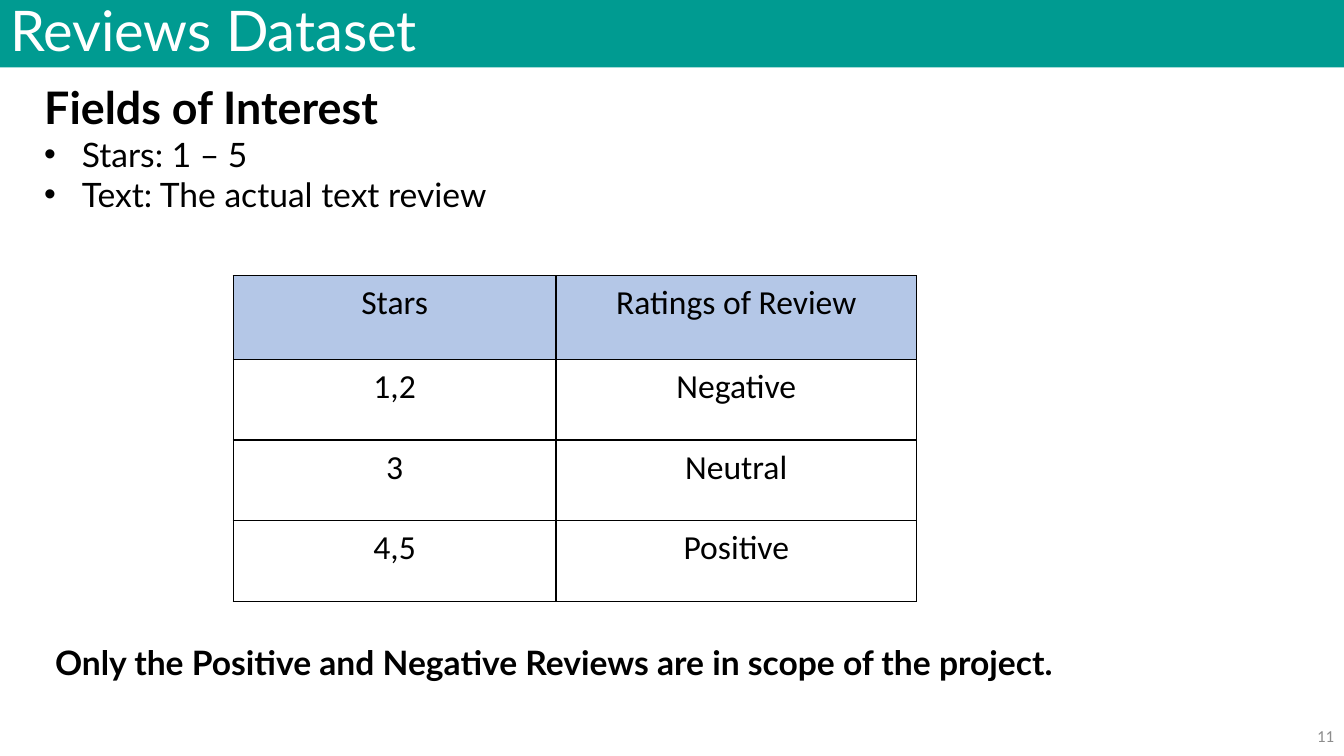
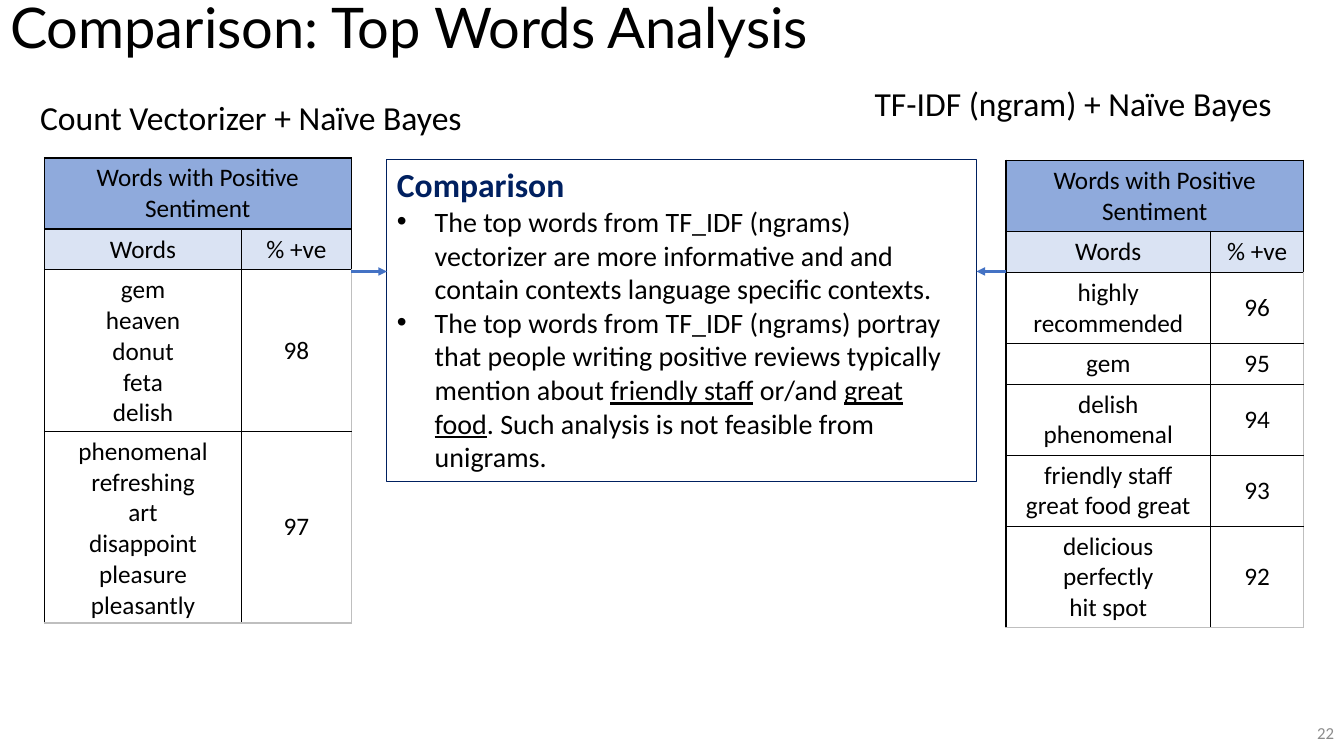
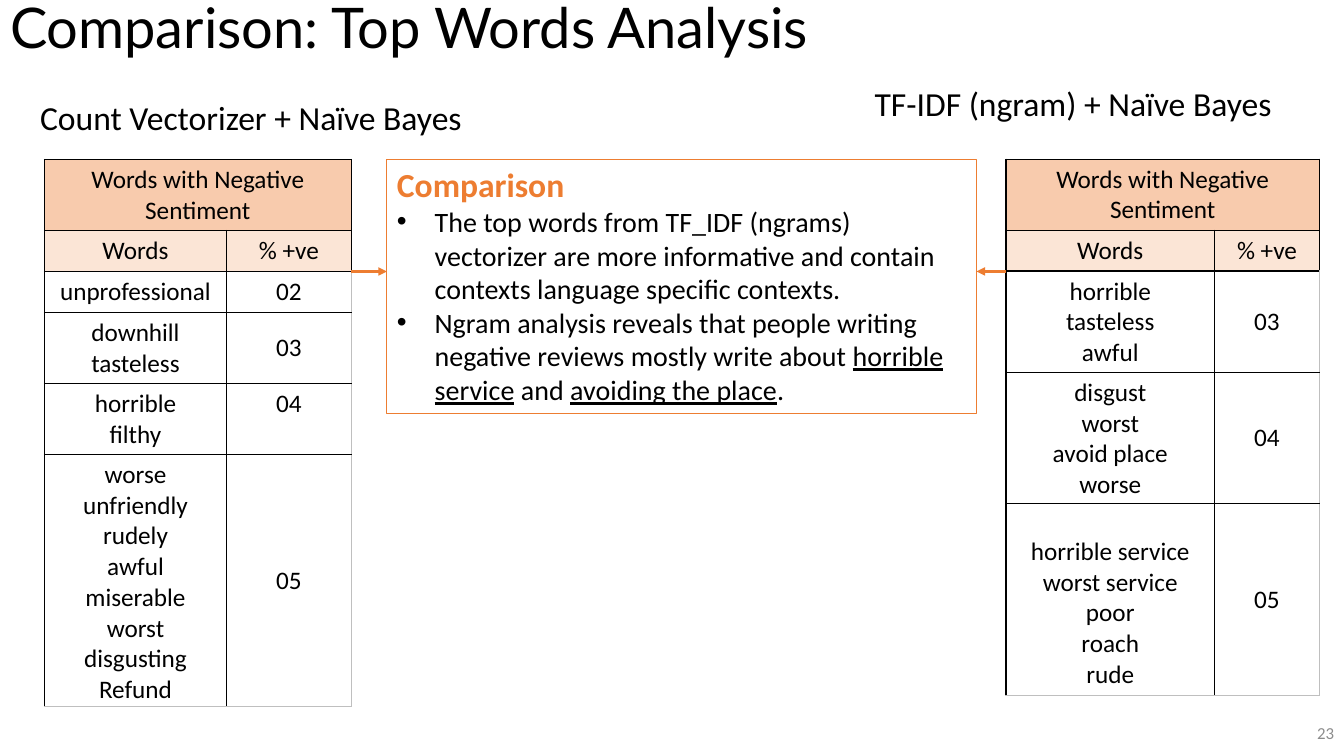
from dataclasses import dataclass

import pptx
import pptx.util
import pptx.dml.color
import pptx.enum.shapes
import pptx.enum.text
import pptx.oxml
import pptx.oxml.ns

Cm, Pt = pptx.util.Cm, pptx.util.Pt
ALIGN = pptx.enum.text.PP_ALIGN
ANCHOR = pptx.enum.text.MSO_ANCHOR
AUTO_SIZE = pptx.enum.text.MSO_AUTO_SIZE

COLORS = {
    "black": "000000", "white": "FFFFFF", "teal": "009B91", "number": "8C8C8C",
    "edge": "BFBFBF", "stars_head": "B4C7E7",
}
POSITIVE = {"head": "8FAADC", "subhead": "DAE3F3", "accent": "002060", "arrow": "4472C4"}
NEGATIVE = {"head": "F8CBAD", "subhead": "FBE5D6", "accent": "ED7D31", "arrow": "ED7D31"}

SLIDE_W, SLIDE_H = 33.87, 19.05
LINE_H, CELL_PAD = 0.76, 0.27  # one 18 pt line, and the padding of a cell


@dataclass
class WordRow:
    words: list
    share: str
    lines: int = 0  # set when text wraps or the row is taller than its words
    anchor: object = ANCHOR.MIDDLE

    def height(self):
        return (self.lines or len(self.words)) * LINE_H + CELL_PAD


# ---- Shared helpers ----
def rgb(color):
    return pptx.dml.color.RGBColor.from_string(color)


def place(shape, box):
    shape.left, shape.top, shape.width, shape.height = (Cm(v) for v in box)


def add_xml(parent, xml):
    declaration = pptx.oxml.ns.nsdecls("a")
    parent.append(pptx.oxml.parse_xml(xml.replace(" ", f" {declaration} ", 1)))


def add_run(paragraph, text, size, font="Calibri", color=COLORS["black"],
            bold=False, underline=False):
    run = paragraph.add_run()
    run.text = text
    run.font.size, run.font.name = Pt(size), font
    run.font.bold, run.font.underline = bold, underline
    run.font.color.rgb = rgb(color)


def add_text(slide, box, text, size, align=ALIGN.LEFT, anchor=ANCHOR.TOP, **style):
    frame_box = slide.shapes.add_textbox(*(Cm(v) for v in box))
    frame = frame_box.text_frame
    frame.word_wrap, frame.vertical_anchor = True, anchor
    frame.paragraphs[0].alignment = align
    add_run(frame.paragraphs[0], text, size, **style)


def add_slide(deck, title, number, title_box, number_top, band=None):
    slide = deck.slides.add_slide(deck.slide_layouts[1])
    heading = slide.shapes.title
    place(heading, title_box)
    frame = heading.text_frame
    frame.auto_size, frame.vertical_anchor = AUTO_SIZE.NONE, ANCHOR.MIDDLE
    paragraph = frame.paragraphs[0]
    paragraph.alignment, paragraph.line_spacing = ALIGN.LEFT, 0.9
    if band:
        heading.fill.solid()
        heading.fill.fore_color.rgb = rgb(band)
    add_run(paragraph, title, 40, "Lato", COLORS["white" if band else "black"])
    add_text(slide, (SLIDE_W - 7.62, number_top, 7.62, 1.02), number, 12,
             ALIGN.RIGHT, ANCHOR.MIDDLE, color=COLORS["number"])
    return slide


def fill_list(slide, box, heading, heading_size, points, size, font, color):
    """A bold heading and bullets; every second run of a point is underlined."""
    body = slide.placeholders[1]
    place(body, box)
    frame = body.text_frame
    frame.word_wrap, frame.auto_size = True, AUTO_SIZE.NONE
    frame.vertical_anchor = ANCHOR.TOP
    for index, runs in enumerate([[heading]] + points):
        paragraph = frame.paragraphs[0] if index == 0 else frame.add_paragraph()
        paragraph.alignment, paragraph.line_spacing = ALIGN.LEFT, 1.0
        paragraph.space_before = paragraph.space_after = Pt(0)
        properties = paragraph._p.get_or_add_pPr()
        indent = Cm(0.95) if index else 0
        properties.set("marL", str(indent))
        properties.set("indent", str(-indent))
        if index == 0:
            add_xml(properties, "<a:buNone />")
            add_run(paragraph, heading, heading_size, font, color, bold=True)
            continue
        add_xml(properties, '<a:buFont typeface="Arial"/>')
        add_xml(properties, '<a:buChar char="•"/>')
        for position, text in enumerate(runs):
            add_run(paragraph, text, size, font, underline=position % 2 == 1)
    return body


# ---- Tables ----
def make_table(slide, left, top, widths, heights):
    table = slide.shapes.add_table(
        len(heights), len(widths), Cm(left), Cm(top),
        Cm(sum(widths)), Cm(sum(heights))).table
    table.first_row = table.horz_banding = False
    for column, width in zip(table.columns, widths):
        column.width = Cm(width)
    for row, height in zip(table.rows, heights):
        row.height = Cm(height)
    return table


def style_cell(cell, lines, size, fill=COLORS["white"], anchor=ANCHOR.TOP, pale=""):
    """Centre the lines; sides named in pale get the light edge colour."""
    cell.vertical_anchor = anchor
    properties = cell._tc.get_or_add_tcPr()
    for side in "LRTB":
        color = COLORS["edge" if side in pale else "black"]
        add_xml(properties, f'<a:ln{side} w="12700"><a:solidFill>'
                            f'<a:srgbClr val="{color}"/></a:solidFill></a:ln{side}>')
    cell.fill.solid()
    cell.fill.fore_color.rgb = rgb(fill)
    for index, text in enumerate(lines):
        frame = cell.text_frame
        paragraph = frame.paragraphs[0] if index == 0 else frame.add_paragraph()
        paragraph.alignment = ALIGN.CENTER
        add_run(paragraph, text, size)


def add_ratings_table(slide, left, top):
    rows = [("Stars", "Ratings of Review"), ("1,2", "Negative"),
            ("3", "Neutral"), ("4,5", "Positive")]
    table = make_table(slide, left, top, (8.13, 9.09), [2.11] + [2.03] * 3)
    for r, row in enumerate(rows):
        for c, text in enumerate(row):
            cell = table.cell(r, c)
            cell.margin_left = cell.margin_right = Cm(0.18)
            cell.margin_top = cell.margin_bottom = Cm(0.18)
            style_cell(cell, [text], 24, COLORS["white" if r else "stars_head"])


def add_words_table(slide, left, top, widths, heading, rows, theme):
    heights = [2 * LINE_H + CELL_PAD, LINE_H + CELL_PAD] + [r.height() for r in rows]
    table = make_table(slide, left, top, widths, heights)
    table.cell(0, 0).merge(table.cell(0, 1))
    style_cell(table.cell(0, 0), [heading], 18, theme["head"])
    style_cell(table.cell(0, 1), [], 18, theme["head"])
    for c, text in enumerate(("Words", "% +ve")):
        style_cell(table.cell(1, c), [text], 18, theme["subhead"])
    for r, row in enumerate(rows, start=2):
        bottom = "B" if r == len(rows) + 1 else ""
        style_cell(table.cell(r, 0), row.words, 18, anchor=ANCHOR.BOTTOM, pale=bottom)
        style_cell(table.cell(r, 1), [row.share], 18, anchor=row.anchor,
                   pale="R" + bottom)


# ---- Comparison slides ----
def add_arrow(slide, start, end, y, color):
    arrow = slide.shapes.add_connector(
        pptx.enum.shapes.MSO_CONNECTOR.STRAIGHT, Cm(start), Cm(y), Cm(end), Cm(y))
    arrow.line.color.rgb = rgb(color)
    arrow.line.width = Pt(2)
    add_xml(arrow.line._get_or_add_ln(), '<a:tailEnd type="triangle"/>')
    add_xml(arrow._element.spPr, "<a:effectLst />")


def add_comparison_slide(deck, number, theme, heading, box_height, points, left, right):
    """left and right are (top, column widths, rows) of the word tables."""
    slide = add_slide(deck, "Comparison: Top Words Analysis", number,
                      (0, 0, 31.8, 1.55), 17.96)
    box_left, box_top, box_width = 9.75, 4.01, 14.86
    left_edge, right_edge = 1.12, 25.35
    box = fill_list(slide, (box_left, box_top, box_width, box_height),
                    "Comparison", 24, points, 20, "Calibri", theme["accent"])
    box.fill.solid()
    box.fill.fore_color.rgb = rgb(COLORS["white"])
    box.line.color.rgb = rgb(theme["accent"])
    box.line.width = Pt(0.75)

    add_text(slide, (0.76, 2.31, 11.38, 1.27), "Count Vectorizer + Naïve Bayes", 24)
    add_text(slide, (21.79, 1.97, 11.38, 1.27), "TF-IDF (ngram) + Naïve Bayes", 24)
    for edge, (top, widths, rows) in ((left_edge, left), (right_edge, right)):
        add_words_table(slide, edge, top, widths, heading, rows, theme)

    arrow_y = box_top + 2.83
    add_arrow(slide, left_edge + sum(left[1]), box_left, arrow_y, theme["arrow"])
    add_arrow(slide, right_edge, box_left + box_width, arrow_y, theme["arrow"])


# ---- Reviews dataset slide ----
def add_dataset_slide(deck):
    slide = add_slide(deck, "Reviews Dataset", "11", (0, 0, SLIDE_W, 1.7), 18.03,
                      COLORS["teal"])
    fill_list(slide, (0.86, 1.88, 30.35, 3.68), "Fields of Interest", 32,
              [["Stars: 1 – 5"], ["Text: The actual text review"]],
              24, "Lato", COLORS["black"])
    add_ratings_table(slide, 5.88, 6.95)
    add_text(slide, (1.14, 16.05, 30.35, 1.27),
             "Only the Positive and Negative Reviews are in scope of the project.",
             24, font="Lato", bold=True)


def main():
    deck = pptx.Presentation()
    deck.slide_width, deck.slide_height = Cm(SLIDE_W), Cm(SLIDE_H)
    add_dataset_slide(deck)

    add_comparison_slide(
        deck, "22", POSITIVE, "Words with Positive Sentiment", 8.13,
        [["The top words from TF_IDF (ngrams) vectorizer are more informative and "
          "and contain contexts language specific contexts."],
         ["The top words from TF_IDF (ngrams) portray that people writing positive "
          "reviews typically mention about ", "friendly staff", " or/and ",
          "great food", ". Such analysis is not feasible from unigrams."]],
        left=(3.98, (4.97, 2.76), [
            WordRow(["gem", "heaven", "donut", "feta", "delish"], "98"),
            WordRow(["phenomenal", "refreshing", "art", "disappoint", "pleasure",
                     "pleasantly"], "97")]),
        right=(4.04, (5.16, 2.34), [
            WordRow(["highly recommended"], "96", lines=2),
            WordRow(["gem"], "95"),
            WordRow(["delish", "phenomenal"], "94"),
            WordRow(["friendly staff", "great food great"], "93"),
            WordRow(["delicious", "perfectly", "hit spot"], "92")]))

    add_comparison_slide(
        deck, "23", NEGATIVE, "Words with Negative Sentiment", 6.4,
        [["The top words from TF_IDF (ngrams) vectorizer are more informative and "
          "contain contexts language specific contexts."],
         ["Ngram analysis reveals that people writing negative reviews mostly write "
          "about ", "horrible service", " and ", "avoiding the place", "."]],
        left=(4.02, (4.59, 3.14), [
            WordRow(["unprofessional"], "02"),
            WordRow(["downhill", "tasteless"], "03"),
            WordRow(["horrible", "filthy"], "04", anchor=ANCHOR.TOP),
            WordRow(["worse", "unfriendly", "rudely", "awful", "miserable", "worst",
                     "disgusting", "Refund"], "05")]),
        right=(4.01, (5.26, 2.64), [
            WordRow(["horrible", "tasteless", "awful"], "03"),
            WordRow(["disgust", "worst", "avoid place", "worse"], "04"),
            WordRow(["horrible service", "worst service", "poor", "roach", "rude"],
                    "05", lines=6)]))
    deck.save("out.pptx")


if __name__ == "__main__":
    main()
